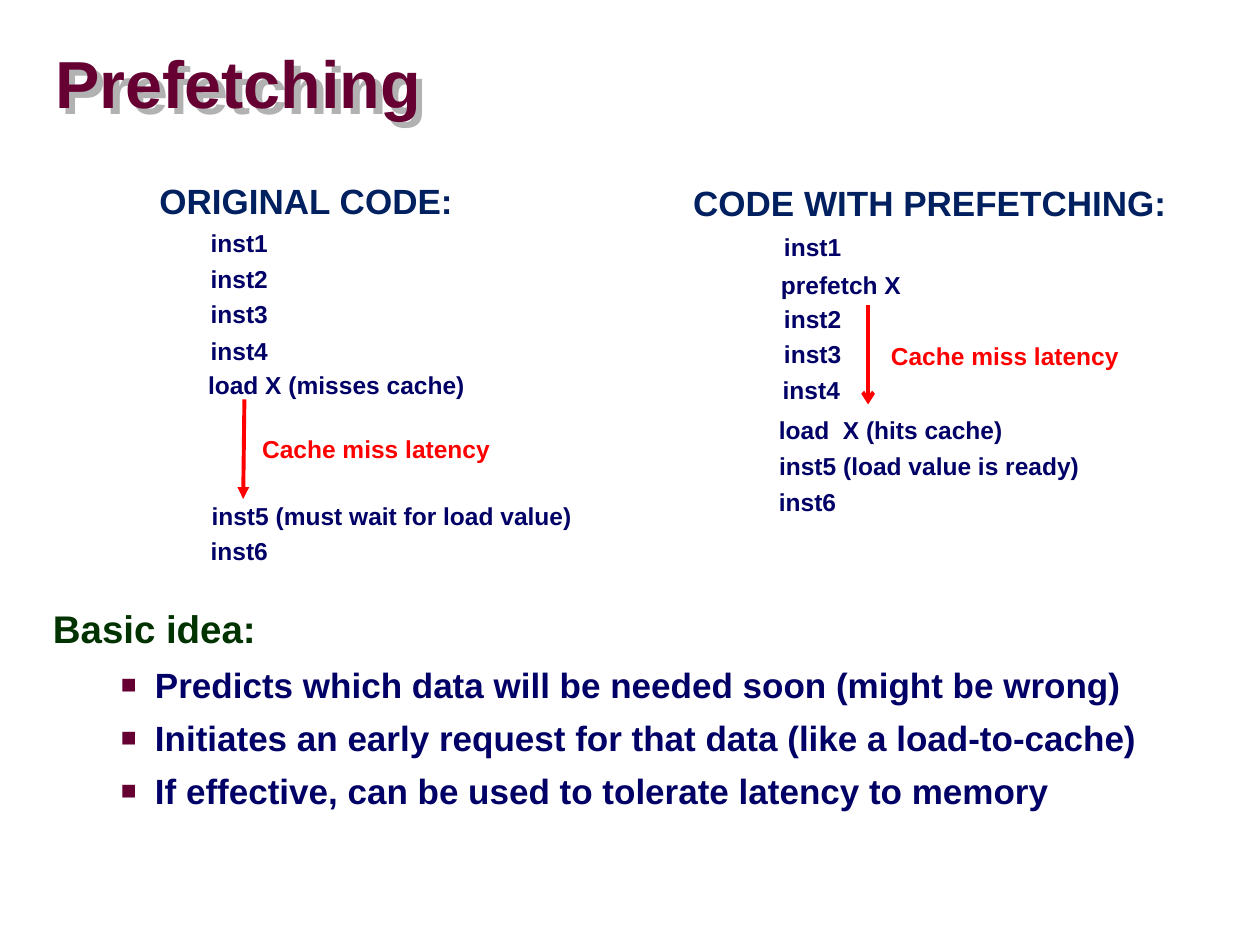
from lxml import etree
from pptx import Presentation
from pptx.dml.color import RGBColor
from pptx.enum.shapes import MSO_CONNECTOR
from pptx.enum.text import MSO_ANCHOR, MSO_AUTO_SIZE, PP_ALIGN
from pptx.oxml.ns import qn
from pptx.util import Inches, Pt

STRAIGHT = MSO_CONNECTOR.STRAIGHT
MIDDLE, TOP = MSO_ANCHOR.MIDDLE, MSO_ANCHOR.TOP
NO_FIT, GROW = MSO_AUTO_SIZE.NONE, MSO_AUTO_SIZE.SHAPE_TO_FIT_TEXT
LEFT, CENTER = PP_ALIGN.LEFT, PP_ALIGN.CENTER
COLORS = {"maroon": "660033", "green": "003300", "navy": "000066",
          "heading": "002060", "red": "FF0000", "shadow": "B2B2B2"}


def style(paragraph, size, color, spacing, align=LEFT):
    paragraph.alignment = align
    paragraph.line_spacing = spacing
    font = paragraph.font
    font.name, font.size, font.bold = "Arial", Pt(size), True
    font.color.rgb = RGBColor.from_string(COLORS[color])


def add(parent, tag, **attributes):
    return etree.SubElement(parent, qn(tag), attributes)


prs = Presentation()
prs.slide_width, prs.slide_height = Inches(10), Inches(7.5)
slide = prs.slides.add_slide(prs.slide_layouts[1])

title = slide.shapes.title
title.left, title.top = Inches(0.44), Inches(0.27)
title.width, title.height = Inches(9.53), Inches(0.85)
title_frame = title.text_frame
title_frame.text = "Prefetching"
title_frame.auto_size, title_frame.vertical_anchor = NO_FIT, MIDDLE
title_frame.margin_left = title_frame.margin_right = 0
title_frame.margin_top = title_frame.margin_bottom = 0
style(title_frame.paragraphs[0], 38, "maroon", 0.87)
effects = add(title._element.spPr, "a:effectLst")
shadow = add(effects, "a:outerShdw", dist=str(Inches(0.07)), dir="2700000", algn="ctr")
add(shadow, "a:srgbClr", val=COLORS["shadow"])

idea = slide.placeholders[1]
idea.left, idea.top = Inches(0.32), Inches(4.78)
idea.width, idea.height = Inches(9.09), Inches(2.44)
idea_frame = idea.text_frame
idea_frame.auto_size, idea_frame.vertical_anchor = NO_FIT, TOP
idea_frame.text = "Basic idea:"
heading = idea_frame.paragraphs[0]
style(heading, 22, "green", 0.95)
heading.space_before = Pt(13.8)
heading_props = heading._p.get_or_add_pPr()
heading_props.set("marL", str(Inches(0.42)))
heading_props.set("indent", str(Inches(-0.42)))
add(heading_props, "a:buNone")
heading_props.append(heading_props.find(qn("a:defRPr")))

for point in ("Predicts which data will be needed soon (might be wrong)",
              "Initiates an early request for that data (like a load-to-cache)",
              "If effective, can be used to tolerate latency to memory"):
    bullet = idea_frame.add_paragraph()
    bullet.text, bullet.level = point, 1
    style(bullet, 20, "navy", 1.0)
    bullet.space_before = Pt(6.2)
    props = bullet._p.get_or_add_pPr()
    props.set("marL", str(Inches(0.81)))
    props.set("indent", str(Inches(-0.27)))
    add(add(props, "a:buClr"), "a:srgbClr", val=COLORS["maroon"])
    add(props, "a:buSzPct", val="75000")
    add(props, "a:buFont", typeface="Arial")
    add(props, "a:buChar", char="■")
    props.append(props.find(qn("a:defRPr")))

headings = [("ORIGINAL CODE:", 1.16, 1.41, 2.54),
            ("CODE WITH PREFETCHING:", 5.4, 1.43, 3.96)]
instructions = [
    ("inst1", 1.57, 1.79, 0.66),
    ("inst2", 1.57, 2.07, 0.66),
    ("inst3", 1.57, 2.35, 0.66),
    ("inst4", 1.57, 2.64, 0.66),
    ("load X (misses cache)", 1.55, 2.91, 2.24),
    ("inst5 (must wait for load value)", 1.58, 3.95, 3.06),
    ("inst6", 1.57, 4.23, 0.66),
    ("inst1", 6.12, 1.82, 0.66),
    ("prefetch X", 6.09, 2.12, 1.17),
    ("inst2", 6.12, 2.39, 0.66),
    ("inst3", 6.12, 2.67, 0.66),
    ("inst4", 6.11, 2.95, 0.66),
    ("load  X (hits cache)", 6.08, 3.27, 1.98),
    ("inst5 (load value is ready)", 6.08, 3.56, 2.59),
    ("inst6", 6.08, 3.84, 0.66),
]
latencies = [("Cache miss latency", 1.98, 3.42, 2.01),
             ("Cache miss latency", 6.97, 2.68, 2.01)]

for labels, size, color, height in ((headings, 20, "heading", 0.4),
                                    (instructions, 14, "navy", 0.31),
                                    (latencies, 14, "red", 0.31)):
    for text, left, top, width in labels:
        label = slide.shapes.add_textbox(Inches(left), Inches(top),
                                         Inches(width), Inches(height))
        label.text_frame.word_wrap = False
        label.text_frame.auto_size = GROW
        label.text_frame.text = text
        style(label.text_frame.paragraphs[0], size, color, 0.9, CENTER)

for x1, y1, x2, y2, head in ((1.94, 3.17, 1.93, 3.96, "triangle"),
                             (6.89, 2.42, 6.89, 3.21, "arrow")):
    arrow = slide.shapes.add_connector(STRAIGHT, Inches(x1), Inches(y1),
                                       Inches(x2), Inches(y2))
    arrow.line.color.rgb = RGBColor.from_string(COLORS["red"])
    arrow.line.width = Pt(2.24)
    add(arrow.line._get_or_add_ln(), "a:tailEnd", type=head)
    add(arrow._element.spPr, "a:effectLst")

prs.save("out.pptx")
